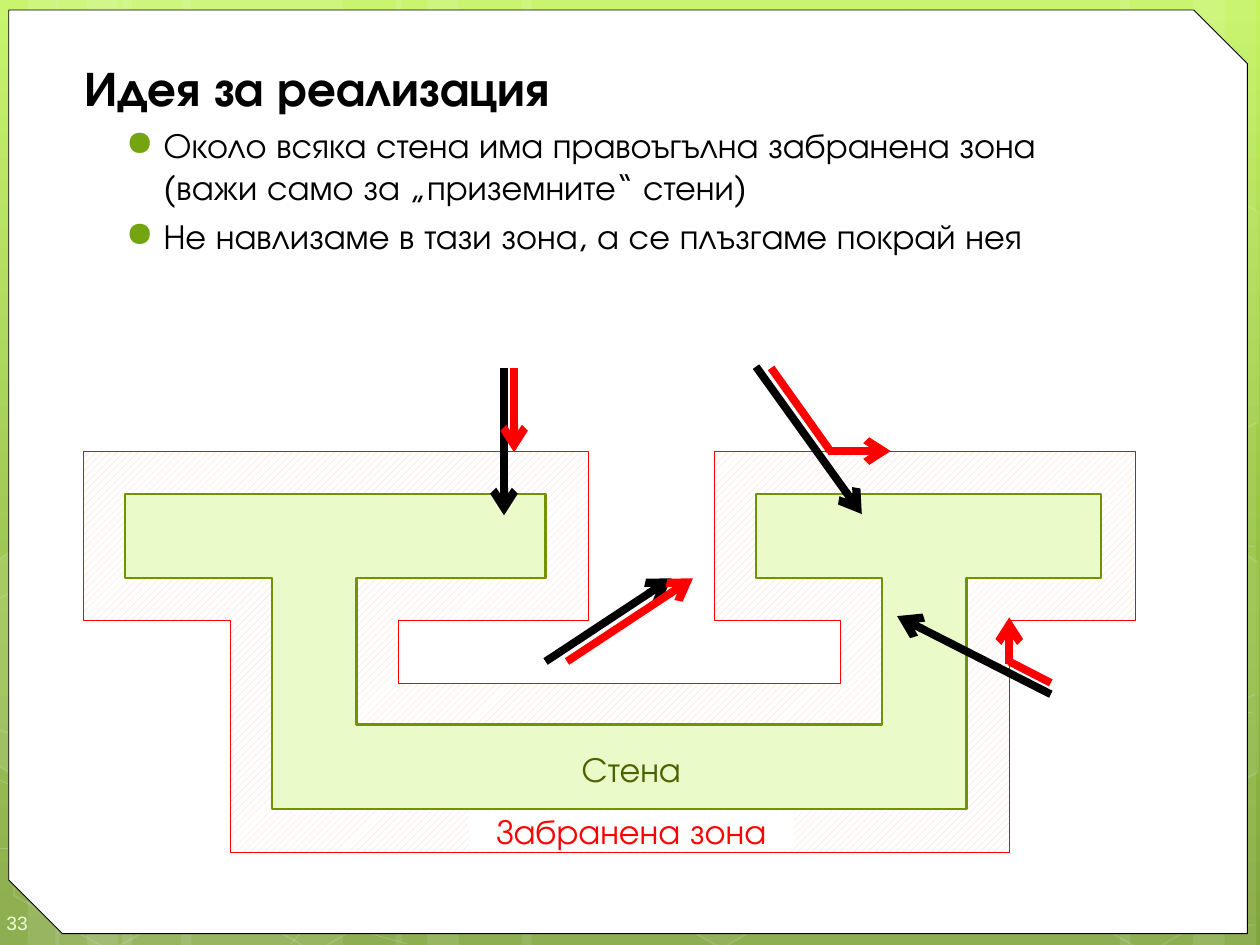
from copy import deepcopy
from typing import NamedTuple, Optional

from pptx import Presentation
from pptx.dml.color import RGBColor
from pptx.enum.dml import MSO_PATTERN
from pptx.enum.shapes import MSO_CONNECTOR, MSO_SHAPE
from pptx.enum.text import MSO_ANCHOR, PP_ALIGN
from pptx.oxml.ns import qn
from pptx.oxml.xmlchemy import OxmlElement as Node
from pptx.util import Inches, Pt

WHITE = RGBColor(0xFF, 0xFF, 0xFF)
BLACK = RGBColor(0, 0, 0)
RED = RGBColor(0xFF, 0, 0)
PINK = RGBColor(0xFF, 0xCC, 0xCC)
PALE = RGBColor(0xEA, 0xFA, 0xC9)
OLIVE = RGBColor(0x6F, 0x94, 0x00)
MOSS = RGBColor(0x4A, 0x63, 0x00)
LEAF = RGBColor(0x74, 0xA5, 0x10)
MIST = RGBColor(0xEE, 0xFF, 0xD6)
BACK = [(0, RGBColor(0xC3, 0xF3, 0x5F)), (0.62, RGBColor(0x93, 0xBF, 0x3F)),
        (1, RGBColor(0x81, 0xA5, 0x3E))]
FONT = "TeX Gyre Adventor"


class Hex(NamedTuple):
    left: float
    top: float
    fill: int  # opacity in percent, 0 for an empty hexagon
    line: int = 12


class Part(NamedTuple):
    """A hexagon cut off by the slide's edge."""
    points: list
    fill: int


class Move(NamedTuple):
    start: tuple
    end: tuple
    color: RGBColor
    arrow: bool = True


STRIPS = [(0.97, 1.75), (-0.03, 0.5), (0.22, 0.83), (1.44, 1.75), (0.44, 0.5),
          (0.69, 0.83), (7.22, 1.75), (9.47, 0.5), (8.89, 0.83), (4.14, 3.08),
          (3.14, 0.5), (3.39, 0.83)]
# Start point, then control, control and end point of each curve
WAVES = [
    [(-0.04, 6.73), (0.5, 6.76), (1.04, 6.79), (1.79, 6.78), (2.54, 6.77),
     (3.46, 6.75), (4.47, 6.65), (5.47, 6.55), (6.89, 6.36), (7.8, 6.17),
     (8.72, 5.98), (9.66, 5.68), (9.96, 5.51)],
    [(-0.04, 4.77), (0.25, 4.61), (0.54, 4.46), (1.1, 4.31), (1.67, 4.16),
     (2.47, 3.94), (3.36, 3.87), (4.25, 3.8), (5.33, 3.79), (6.43, 3.87),
     (7.53, 3.95), (9.36, 4.26), (9.96, 4.34)],
    [(-0.05, 6.17), (1.15, 6.72), (2.36, 7.27), (3.23, 7.49)],
    [(-0.04, 5.78), (0.27, 5.89), (0.59, 6), (1.17, 6.16), (1.75, 6.31),
     (2.62, 6.56), (3.45, 6.73), (4.29, 6.9), (5.34, 7.08), (6.17, 7.18),
     (6.99, 7.29), (7.89, 7.33), (8.41, 7.36), (8.94, 7.4), (9.08, 7.38),
     (9.34, 7.38), (9.59, 7.37), (9.78, 7.35), (9.96, 7.34)],
    [(2.31, 7.49), (2.49, 7.29), (2.67, 7.09), (2.91, 6.91), (3.15, 6.73),
     (3.49, 6.53), (3.76, 6.39), (4.04, 6.25), (4.22, 6.19), (4.58, 6.09),
     (4.95, 5.99), (5.62, 5.85), (5.97, 5.78), (6.32, 5.71), (6.38, 5.71),
     (6.69, 5.69), (7, 5.66), (7.49, 5.63), (7.83, 5.62), (8.17, 5.61),
     (8.75, 5.62), (9.41, 5.62), (9.6, 5.63), (9.77, 5.64), (9.95, 5.66)],
]
CELLS = [
    Hex(3.25, 3.13, 10), Hex(4.04, 4.51, 0), Hex(4.05, 1.74, 7, 8),
    Hex(3.23, 0.36, 4, 8), Hex(4.85, 5.89, 6),
    Part([(-0.03, 4.45), (0.08, 4.38), (0.85, 4.82), (0.84, 5.7),
          (0.09, 6.14), (-0.03, 6.07)], 10),
    Hex(0, 5.91, 0), Hex(0.03, 3.12, 7, 8), Hex(0.82, 4.51, 0),
    Hex(1.62, 5.92, 0), Hex(1.65, 3.13, 7, 8), Hex(0.84, 1.71, 0),
    Hex(7.42, 4.53, 10), Hex(8.23, 5.93, 0), Hex(8.23, 3.14, 7, 8),
    *(Part([(9.15, y + 0.44), (9.9, y), (9.98, y + 0.05), (9.98, y + 1.72),
            (9.91, y + 1.76), (9.14, y + 1.32)], fill)
      for y, fill in [(4.41, 4), (1.63, 0)]),
]
ZONE = [(5.67, 3.58), (9.01, 3.58), (9.01, 4.92), (8.01, 4.92), (8.01, 6.76),
        (1.83, 6.76), (1.83, 4.92), (0.66, 4.92), (0.66, 3.58), (4.67, 3.58),
        (4.67, 4.92), (3.16, 4.92), (3.16, 5.42), (6.67, 5.42), (6.67, 4.92),
        (5.67, 4.92)]
WALL = [(6, 3.92), (8.74, 3.92), (8.74, 4.59), (7.67, 4.59), (7.67, 6.42),
        (2.16, 6.42), (2.16, 4.59), (0.99, 4.59), (0.99, 3.92), (4.33, 3.92),
        (4.33, 4.59), (2.83, 4.59), (2.83, 5.75), (7, 5.75), (7, 4.59),
        (6, 4.59)]
MOVES = [
    Move((6, 2.91), (6.84, 4.08), BLACK),
    Move((6.12, 2.92), (6.59, 3.58), RED, False),
    Move((6.57, 3.58), (7.07, 3.58), RED),
    Move((4, 2.92), (4, 4.09), BLACK),
    Move((4.08, 2.92), (4.08, 3.59), RED),
    Move((4.33, 5.25), (5.33, 4.59), BLACK),
    Move((4.5, 5.25), (5.5, 4.59), RED),
    Move((8.34, 5.51), (7.12, 4.89), BLACK),
    Move((8.01, 5.27), (8.01, 4.9), RED),
    Move((8.01, 5.25), (8.34, 5.42), RED, False),
]


def fade(color, part: int) -> None:
    """Give the colour element an opacity in percent."""
    if part < 100:
        alpha = Node("a:alpha")
        alpha.set("val", str(part * 1000))
        color.append(alpha)


def paint(shape, fill: Optional[RGBColor], line: Optional[RGBColor] = None,
          width: float = 1, solid: int = 100, ink: int = 100) -> None:
    """Set fill and line; solid and ink are their opacities in percent."""
    shape.shadow.inherit = False
    props = shape._element.spPr
    if fill is None or not solid:
        shape.fill.background()
    else:
        shape.fill.solid()
        shape.fill.fore_color.rgb = fill
        fade(props.find(qn("a:solidFill"))[0], solid)
    if line is None:
        shape.line.fill.background()
    else:
        shape.line.color.rgb = line
        shape.line.width = Pt(width)
        fade(props.find(qn("a:ln")).find(qn("a:solidFill"))[0], ink)


def add_shape(slide, kind, *box: float):
    return slide.shapes.add_shape(kind, *map(Inches, box))


def add_path(slide, points: list, close: bool = True):
    dots = [(Inches(x), Inches(y)) for x, y in points]
    pen = slide.shapes.build_freeform(*dots[0], scale=1.0)
    pen.add_line_segments(dots[1:], close=close)
    return pen.convert_to_shape()


def bend(knots: list, steps: int = 12) -> list:
    """Points along a chain of cubic curves."""
    out = [knots[0]]
    for i in range(0, len(knots) - 3, 3):
        for t in (n / steps for n in range(1, steps + 1)):
            parts = ((1 - t) ** 3, 3 * t * (1 - t) ** 2,
                     3 * t * t * (1 - t), t ** 3)
            out.append(tuple(sum(w * k[axis] for w, k in
                                 zip(parts, knots[i:i + 4]))
                             for axis in (0, 1)))
    return out


def style(font, size: float, color: RGBColor, name: str = FONT,
          bold: bool = False) -> None:
    font.size, font.name, font.bold = Pt(size), name, bold
    font.color.rgb = color


def draw_back(slide) -> None:
    fill = slide.background.fill
    fill.gradient()
    fill.gradient_angle = 270
    stops = slide._element.find(".//" + qn("a:gsLst"))
    stops.append(deepcopy(stops[-1]))
    for stop, (place, color) in zip(fill.gradient_stops, BACK):
        stop.position = place
        stop.color.rgb = color
    for left, width in STRIPS:
        paint(add_shape(slide, MSO_SHAPE.RECTANGLE, left, 0, width, 7.5),
              WHITE, solid=10)
    for wave in WAVES:
        paint(add_path(slide, bend(wave), False), None, WHITE, 0.5, ink=20)
    for cell in CELLS:
        if isinstance(cell, Hex):
            shape = add_shape(slide, MSO_SHAPE.HEXAGON, cell.left, cell.top,
                              1.75, 1.52)
            shape.rotation = 30
            shape.adjustments[0] = 0.285
            paint(shape, WHITE, WHITE, 1, cell.fill, cell.line)
        else:
            paint(add_path(slide, cell.points), WHITE, WHITE, 1, cell.fill, 12)
    page = add_shape(slide, MSO_SHAPE.SNIP_2_DIAG_RECTANGLE,
                     0.07, 0.08, 9.83, 7.33)
    page.adjustments[0], page.adjustments[1] = 0, 0.058
    paint(page, WHITE, BLACK, 0.5)


def add_text(slide, text: str, *box: float):
    frame = slide.shapes.add_textbox(*map(Inches, box)).text_frame
    frame.word_wrap = True
    frame.text = text
    return frame


def add_bullet(para) -> None:
    props = para._p.get_or_add_pPr()
    props.set("marL", str(Inches(0.7)))
    props.set("indent", str(Inches(-0.3)))
    tint, shade, mark = Node("a:buClr"), Node("a:srgbClr"), Node("a:buChar")
    shade.set("val", str(LEAF))
    tint.append(shade)
    mark.set("char", "●")
    props.extend([tint, mark])


def add_body(slide) -> None:
    frame = add_text(slide, "Идея за реализация", 0.5, 0.41, 9.42, 7.01)
    head = frame.paragraphs[0]
    head._p.get_or_add_pPr().set("marL", str(Inches(0.07)))
    style(head.runs[0].font, 28, BLACK, bold=True)
    for text in ("Около всяка стена има правоъгълна забранена зона\v"
                 "(важи само за „приземните“ стени)",
                 "Не навлизаме в тази зона, а се плъзгаме покрай нея"):
        para = frame.add_paragraph()
        para.text = text
        para.level = 1
        para.space_before = Pt(4)
        add_bullet(para)
        for run in para.runs:
            style(run.font, 20, BLACK)


def add_move(slide, move: Move) -> None:
    line = slide.shapes.add_connector(
        MSO_CONNECTOR.STRAIGHT, *map(Inches, move.start + move.end))
    line.line.color.rgb = move.color
    line.line.width = Pt(4.5)
    if move.arrow:
        tip = Node("a:tailEnd")
        tip.set("type", "arrow")
        line.line._get_or_add_ln().append(tip)
    line._element.spPr.append(Node("a:effectLst"))


def main() -> None:
    deck = Presentation()
    deck.slide_width, deck.slide_height = Inches(10), Inches(7.5)
    slide = deck.slides.add_slide(deck.slide_layouts[6])
    draw_back(slide)

    number = add_text(slide, "33", 0, 7.1, 0.58, 0.4)
    number.vertical_anchor = MSO_ANCHOR.MIDDLE
    number.margin_left, number.margin_right = Inches(0.05), 0
    number.margin_top, number.margin_bottom = Inches(0.15), Inches(0.1)
    style(number.paragraphs[0].runs[0].font, 11, MIST, "Arial")

    zone = add_path(slide, ZONE)
    paint(zone, WHITE, RED, 0.25)
    zone.fill.patterned()
    zone.fill.pattern = MSO_PATTERN.WIDE_UPWARD_DIAGONAL
    zone.fill.fore_color.rgb, zone.fill.back_color.rgb = PINK, WHITE
    add_body(slide)
    paint(add_path(slide, WALL), PALE, OLIVE, 1.25)

    label = add_shape(slide, MSO_SHAPE.RECTANGLE, 3.72, 6.44, 2.58, 0.31)
    paint(label, WHITE)
    label.text_frame.text = "Забранена зона"
    wall = add_text(slide, "Стена", 4.47, 5.88, 1.08, 0.44)
    for frame, color in ((label.text_frame, RED), (wall, MOSS)):
        frame.word_wrap = False
        frame.vertical_anchor = MSO_ANCHOR.MIDDLE
        para = frame.paragraphs[0]
        para.alignment = PP_ALIGN.CENTER
        style(para.runs[0].font, 20, color)

    for move in MOVES:
        add_move(slide, move)
    deck.save("out.pptx")


if __name__ == "__main__":
    main()
